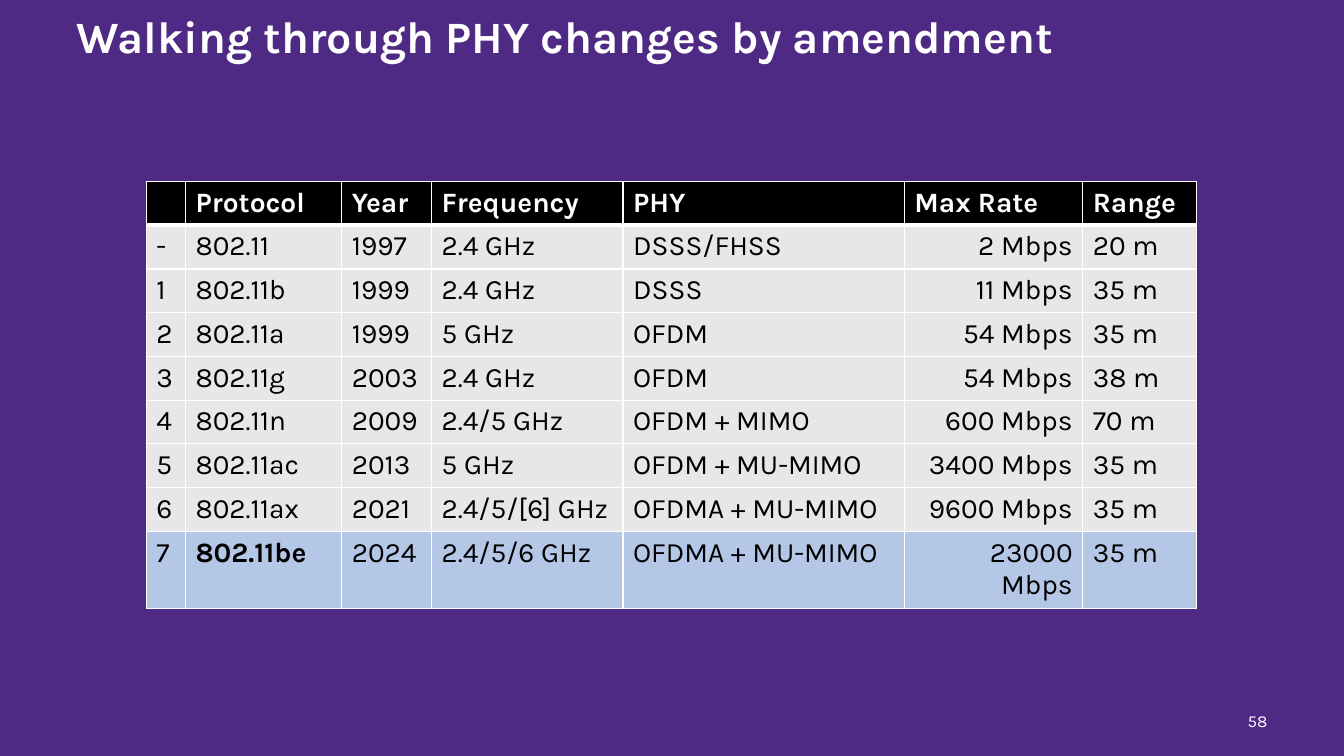
from lxml import etree
from pptx import Presentation
from pptx.dml.color import RGBColor
from pptx.enum import text
from pptx.oxml.ns import qn
from pptx.util import Inches, Pt


def style(paragraph, size, color, bold=False, align=text.PP_ALIGN.LEFT):
    paragraph.alignment = align
    paragraph.font.name = "Karla"
    paragraph.font.size = Pt(size)
    paragraph.font.bold = bold
    paragraph.font.color.rgb = RGBColor.from_string(color)


def add_border(cell, side, points):
    line = etree.SubElement(cell._tc.get_or_add_tcPr(), qn(f"a:{side}"), w=str(Pt(points)))
    fill = etree.SubElement(line, qn("a:solidFill"))
    etree.SubElement(fill, qn("a:srgbClr"), val="FFFFFF")


deck = Presentation()
deck.slide_width, deck.slide_height = Inches(13.33), Inches(7.5)
page = deck.slides.add_slide(deck.slide_layouts[5])
page.background.fill.solid()
page.background.fill.fore_color.rgb = RGBColor.from_string("4E2A84")

title = page.shapes.title
title.left, title.top, title.width, title.height = map(Inches, (0.66, 0.01, 12, 0.75))
title.text_frame.text = "Walking through PHY changes by amendment"
title.text_frame.vertical_anchor = text.MSO_ANCHOR.MIDDLE
title.text_frame.paragraphs[0].line_spacing = 0.9
style(title.text_frame.paragraphs[0], 32, "FFFFFF", True)

number_box = page.shapes.add_textbox(*map(Inches, (11.67, 6.95, 1, 0.4)))
number_box.text_frame.word_wrap = True
number_box.text_frame.vertical_anchor = text.MSO_ANCHOR.MIDDLE
number_box.text_frame.text = "58"
style(number_box.text_frame.paragraphs[0], 12, "FFFFFF", align=text.PP_ALIGN.RIGHT)

amendments = [
    ["", "Protocol", "Year", "Frequency", "PHY", "Max Rate", "Range"],
    ["-", "802.11", "1997", "2.4 GHz", "DSSS/FHSS", "2 Mbps", "20 m"],
    ["1", "802.11b", "1999", "2.4 GHz", "DSSS", "11 Mbps", "35 m"],
    ["2", "802.11a", "1999", "5 GHz", "OFDM", "54 Mbps", "35 m"],
    ["3", "802.11g", "2003", "2.4 GHz", "OFDM", "54 Mbps", "38 m"],
    ["4", "802.11n", "2009", "2.4/5 GHz", "OFDM + MIMO", "600 Mbps", "70 m"],
    ["5", "802.11ac", "2013", "5 GHz", "OFDM + MU-MIMO", "3400 Mbps", "35 m"],
    ["6", "802.11ax", "2021", "2.4/5/[6] GHz", "OFDMA + MU-MIMO", "9600 Mbps", "35 m"],
    ["7", "802.11be", "2024", "2.4/5/6 GHz", "OFDMA + MU-MIMO", "23000 Mbps", "35 m"],
]
widths = [0.39, 1.55, 0.89, 1.9, 2.79, 1.77, 1.13]
last = len(amendments) - 1
table = page.shapes.add_table(
    len(amendments), len(widths), Inches(1.45), Inches(1.8), Inches(sum(widths)), Inches(3.69)
).table
for column, width in zip(table.columns, widths):
    column.width = Inches(width)

for r, values in enumerate(amendments):
    table.rows[r].height = Inches(0.41)
    row_fill = {0: "000000", last: "B4C7E7"}.get(r, "E7E7E7")
    for c, value in enumerate(values):
        cell = table.cell(r, c)
        cell.text = value
        rate = r > 0 and values is not amendments[0] and amendments[0][c] == "Max Rate"
        style(
            cell.text_frame.paragraphs[0],
            20,
            "FFFFFF" if r == 0 else "000000",
            r == 0 or value == "802.11be",
            text.PP_ALIGN.RIGHT if rate else text.PP_ALIGN.LEFT,
        )
        for side in ("lnL", "lnR", "lnT", "lnB"):
            thick = (r, side) in ((0, "lnB"), (1, "lnT"))
            add_border(cell, side, 3 if thick else 1)
        cell.fill.solid()
        cell.fill.fore_color.rgb = RGBColor.from_string(row_fill)

deck.save("out.pptx")
